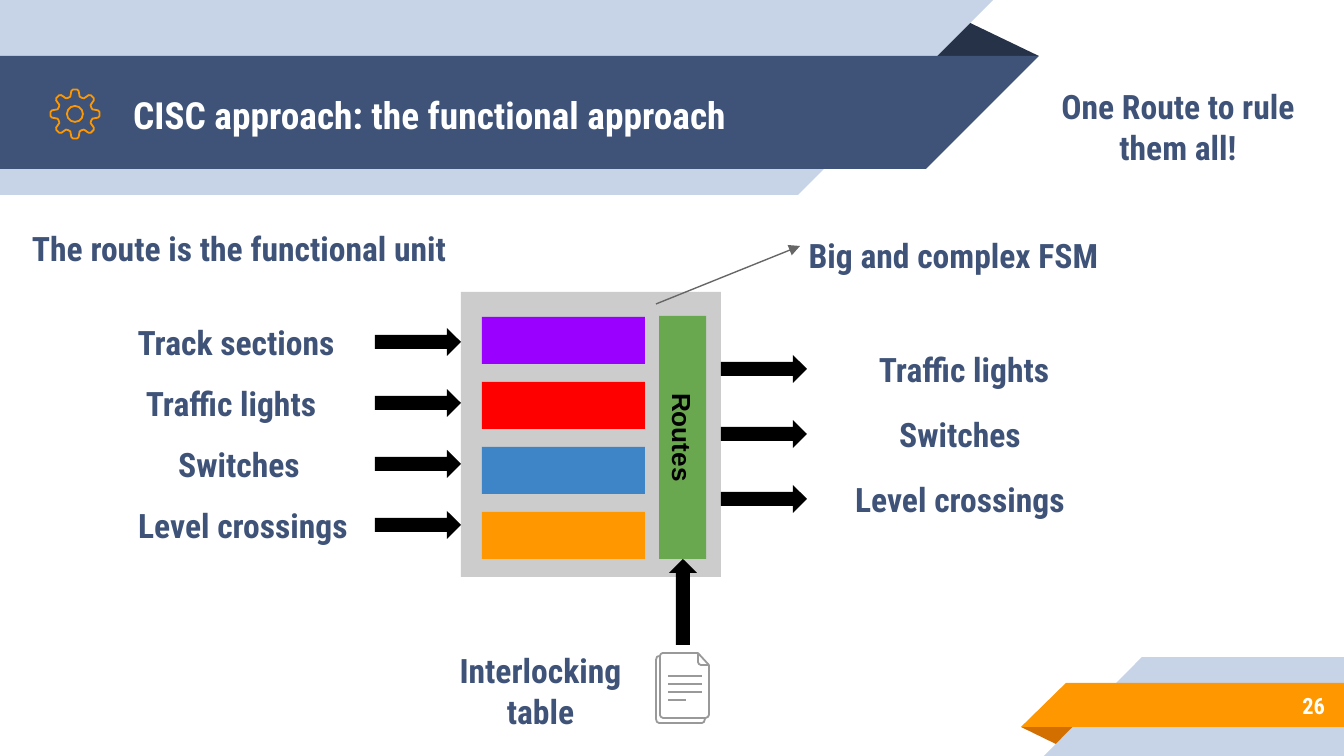
from math import cos, radians, sin

from lxml.etree import SubElement
from pptx import Presentation
from pptx.dml.color import RGBColor
from pptx.enum.shapes import MSO_CONNECTOR as LINK, MSO_SHAPE as SHAPE
from pptx.enum.text import MSO_ANCHOR as ANCHOR, MSO_AUTO_SIZE as AUTO, PP_ALIGN as ALIGN
from pptx.oxml.ns import qn
from pptx.util import Pt

PX = 914400 / 134.4
FONT = "Roboto Condensed"
NAVY = RGBColor(0x3F, 0x53, 0x78)
DARK = RGBColor(0x26, 0x32, 0x48)
PALE = RGBColor(0xC7, 0xD3, 0xE6)
ORANGE = RGBColor(0xFF, 0x98, 0x00)
RUST = RGBColor(0xD2, 0x6F, 0x00)
WHITE = RGBColor(0xFF, 0xFF, 0xFF)
BLACK = RGBColor(0x00, 0x00, 0x00)
SILVER = RGBColor(0xCC, 0xCC, 0xCC)
GRAY = RGBColor(0x99, 0x99, 0x99)
SLATE = RGBColor(0x66, 0x66, 0x66)
PURPLE = RGBColor(0x99, 0x00, 0xFF)
RED = RGBColor(0xFF, 0x00, 0x00)
BLUE = RGBColor(0x3D, 0x85, 0xC6)
GREEN = RGBColor(0x6A, 0xA8, 0x4F)


def emu(*nums):
    return [round(n * PX) for n in nums]


def paint(shape, fill=None, line=None):
    shape.shadow.inherit = False
    if fill is None:
        shape.fill.background()
    else:
        shape.fill.solid()
        shape.fill.fore_color.rgb = fill
    if line is None:
        shape.line.fill.background()
    else:
        shape.line.color.rgb = line
        shape.line.width = Pt(0.96)
    return shape


def block(slide, kind, x, y, w, h, fill=None, line=None):
    return paint(slide.shapes.add_shape(kind, *emu(x, y, w, h)), fill, line)


def poly(slide, x, y, points, fill=None, line=None, close=True):
    """Draw an outline whose points are relative to (x, y)."""
    spots = [emu(x + a, y + b) for a, b in points]
    pen = slide.shapes.build_freeform(*spots[0])
    pen.add_line_segments(spots[1:], close=close)
    return paint(pen.convert_to_shape(), fill, line)


def write(shape, text, size=18, color=NAVY, align=ALIGN.CENTER, font=FONT):
    frame = shape.text_frame
    frame.auto_size = AUTO.NONE
    frame.word_wrap = True
    frame.vertical_anchor = ANCHOR.MIDDLE
    (frame.margin_left, frame.margin_top,
     frame.margin_right, frame.margin_bottom) = emu(13, 13, 13, 13)
    para = frame.paragraphs[0]
    para.alignment = align
    run = para.add_run()
    run.text = text
    run.font.name, run.font.size, run.font.bold = font, Pt(size), True
    run.font.color.rgb = color
    return para


def label(slide, text, x, y, w, h):
    para = write(slide.shapes.add_textbox(*emu(x, y, w, h)), text)
    para.space_before, para.space_after = Pt(6), Pt(10)
    return para


def gear(slide, x, y, size):
    mid = size / 2
    tooth = [(-22, 0.7), (-15, 0.72), (-9, 0.93), (-5, 0.98),
             (5, 0.98), (9, 0.93), (15, 0.72)]
    points = [(mid + mid * r * cos(radians(turn + a)),
               mid + mid * r * sin(radians(turn + a)))
              for turn in range(0, 360, 45) for a, r in tooth]
    poly(slide, x, y, points, line=ORANGE)
    hole = size // 3
    block(slide, SHAPE.OVAL, x + (size - hole) / 2, y + (size - hole) / 2,
          hole, hole, line=ORANGE)


def header(slide, x, y, title):
    poly(slide, x, y, [(925, 56), (962, 19), (1039, 56)], DARK)
    poly(slide, x, y, [(0, 0), (993, 0), (798, 195), (0, 195)], PALE)
    poly(slide, x, y, [(0, 56), (1039, 56), (926, 169), (0, 169)], NAVY)
    gear(slide, x + 50, y + 89, 50)
    head = slide.shapes.title
    head.left, head.top, head.width, head.height = emu(x + 120, y + 58, 808, 113)
    write(head, title, 20, WHITE, ALIGN.LEFT)
    slide.shapes._spTree.append(head._element)  # bring in front of the bands


def footer(slide, x, y, number):
    poly(slide, x, y, [(0, 70), (58, 70), (39, 89)], RUST)
    poly(slide, x, y, [(121, 0), (323, 0), (323, 99), (23, 99)], PALE)
    poly(slide, x, y, [(45, 26), (323, 26), (323, 70), (0, 70)], ORANGE)
    box = slide.shapes.add_textbox(*emu(x + 98, y + 25, 219, 47))
    write(box, number, 12, WHITE, ALIGN.RIGHT)


def flow(slide, x, y, step, rows):
    """Stack arrows, each with a label centred on the given offset."""
    for i, (text, mid) in enumerate(rows):
        top = y + i * step
        block(slide, SHAPE.RIGHT_ARROW, x, top, 86, 28, BLACK)
        label(slide, text, x + mid - 143, top - 27, 286, 82)


def unit(slide, x, y):
    block(slide, SHAPE.RECTANGLE, x, y, 260, 285, SILVER)
    for i, color in enumerate([PURPLE, RED, BLUE, ORANGE]):
        block(slide, SHAPE.RECTANGLE, x + 21, y + 25 + i * 65, 163, 47, color)
    bar = block(slide, SHAPE.RECTANGLE, x + 100, y + 122, 243, 47, GREEN)
    bar.rotation = 90
    write(bar, "Routes", 14, BLACK, font="Arial")


def pages(slide, x, y):
    poly(slide, x, y, [(49, 66), (48, 69), (46, 70), (3, 70), (1, 69), (0, 66),
                       (0, 7), (1, 4), (3, 3)], line=GRAY, close=False)
    poly(slide, x, y, [(53, 12), (53, 62), (52, 64), (50, 65), (7, 65), (5, 64),
                       (4, 62), (4, 3), (5, 1), (7, 0), (42, 0)],
         line=GRAY, close=False)
    poly(slide, x, y, [(42, 0), (53, 12), (45, 12), (43, 11), (42, 9)], line=GRAY)
    for i, w in enumerate([34, 34, 34, 18]):
        poly(slide, x, y, [(12, 23 + i * 8), (12 + w, 23 + i * 8)],
             line=GRAY, close=False)


def table_input(slide, x, y):
    block(slide, SHAPE.UP_ARROW, x + 248, y, 28, 86, BLACK)
    pages(slide, x + 235, y + 94)
    label(slide, "Interlocking table", x, y + 75, 239, 113)


def callout(slide, x, y):
    line = slide.shapes.add_connector(LINK.STRAIGHT, *emu(x, y + 90, x + 144, y + 32))
    line.line.color.rgb, line.line.width = SLATE, Pt(0.75)
    props = line._element.spPr
    SubElement(props.find(qn("a:ln")), qn("a:tailEnd"), type="triangle")
    SubElement(props, qn("a:effectLst"))
    label(slide, "Big and complex FSM", x + 125, y, 345, 82)


def main():
    deck = Presentation()
    deck.slide_width, deck.slide_height = emu(1344, 756)
    slide = deck.slides.add_slide(deck.slide_layouts[5])
    header(slide, 0, 0, "CISC approach: the functional approach")
    footer(slide, 1021, 657, "26")
    unit(slide, 461, 292)
    flow(slide, 375, 328, 61, [("Track sections", -139), ("Traffic lights", -144),
                               ("Switches", -136), ("Level crossings", -132)])
    flow(slide, 721, 355, 65, [("Traffic lights", 243), ("Switches", 239),
                               ("Level crossings", 239)])
    table_input(slide, 421, 559)
    callout(slide, 656, 214)
    label(slide, "One Route to rule them all!", 1032, 70, 292, 113)
    lead = label(slide, "The route is the functional unit", 19, 210, 583, 70)
    lead.alignment, lead.line_spacing = ALIGN.LEFT, 1.15
    lead.space_before = lead.space_after = Pt(0)
    deck.save("out.pptx")


if __name__ == "__main__":
    main()
